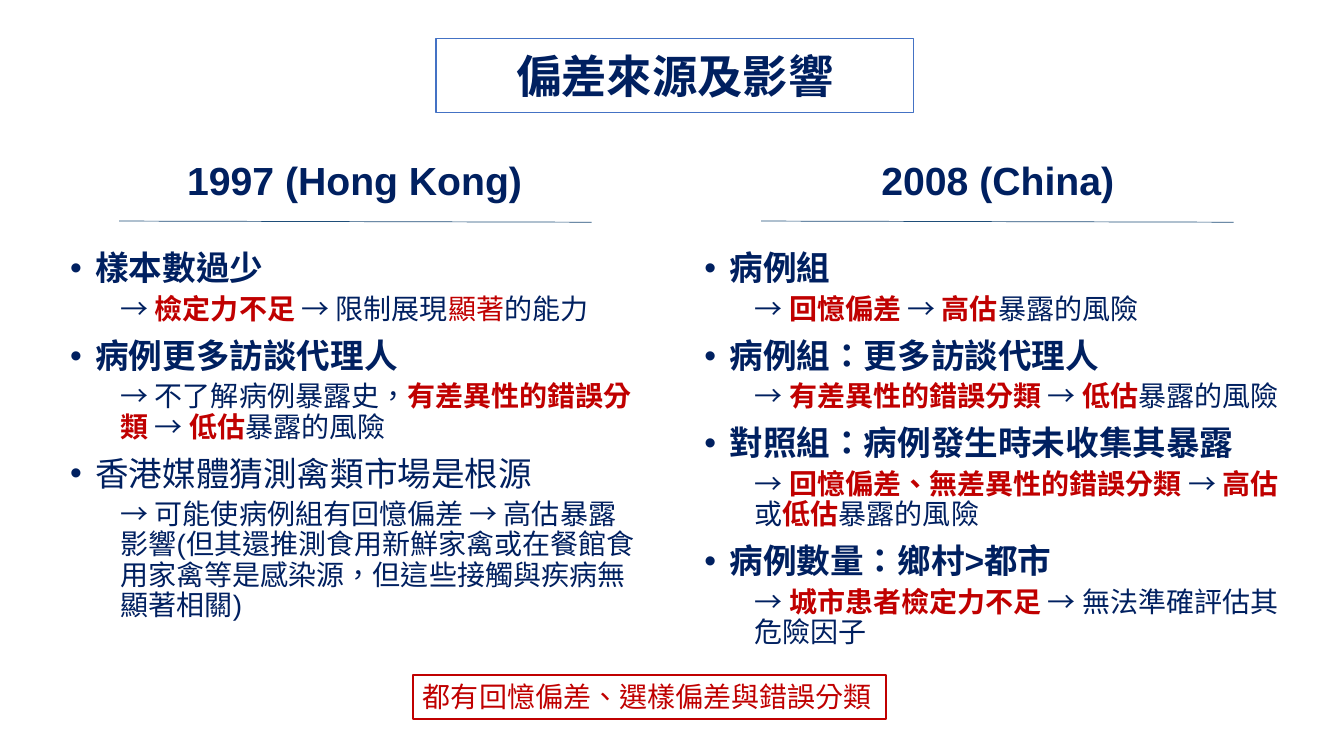
"""Build a slide comparing the sources and effects of bias in two studies."""
from lxml import etree
from pptx import Presentation
from pptx.dml.color import RGBColor
from pptx.enum.lang import MSO_LANGUAGE_ID
from pptx.enum.shapes import MSO_CONNECTOR, MSO_SHAPE
from pptx.enum.text import MSO_ANCHOR, PP_ALIGN
from pptx.oxml.ns import qn
from pptx.util import Cm, Pt

NAVY = RGBColor(0x00, 0x20, 0x60)
RED = RGBColor(0xC0, 0x00, 0x00)
BLUE = RGBColor(0x44, 0x72, 0xC4)
RULE_BLUE = RGBColor(0x1F, 0x4E, 0x79)
WHITE = RGBColor(0xFF, 0xFF, 0xFF)

PLAIN = (NAVY, False)
STRONG = (NAVY, True)
KEY = (RED, True)
ACCENT = (RED, False)

HONG_KONG = [
    ("樣本數過少", STRONG,
     [("→ ", PLAIN), ("檢定力不足 ", KEY), ("→ 限制展現", PLAIN),
      ("顯著", ACCENT), ("的能力", PLAIN)]),
    ("病例更多訪談代理人", STRONG,
     [("→ 不了解病例暴露史，", PLAIN), ("有差異性的錯誤分類 ", KEY),
      ("→ ", PLAIN), ("低估", KEY), ("暴露的風險", PLAIN)]),
    ("香港媒體猜測禽類市場是根源", PLAIN,
     [("→ 可能使病例組有回憶偏差 → 高估暴露影響(但其還推測食用新鮮家禽"
       "或在餐館食用家禽等是感染源，但這些接觸與疾病無顯著相關)", PLAIN)]),
]
CHINA = [
    ("病例組", STRONG,
     [("→ ", PLAIN), ("回憶偏差 ", KEY), ("→ ", PLAIN),
      ("高估", KEY), ("暴露的風險", PLAIN)]),
    ("病例組：更多訪談代理人", STRONG,
     [("→ ", PLAIN), ("有差異性的錯誤分類 ", KEY), ("→ ", PLAIN),
      ("低估", KEY), ("暴露的風險", PLAIN)]),
    ("對照組：病例發生時未收集其暴露", STRONG,
     [("→ ", PLAIN), ("回憶偏差、無差異性的錯誤分類 ", KEY), ("→ ", PLAIN),
      ("高估", KEY), ("或", PLAIN), ("低估", KEY), ("暴露的風險", PLAIN)]),
    ("病例數量：鄉村>都市", STRONG,
     [("→ ", PLAIN), ("城市患者檢定力不足 ", KEY),
      ("→ 無法準確評估其危險因子", PLAIN)]),
]
STUDIES = [
    ("1997 (Hong Kong)", HONG_KONG, 1.52, 14.83, 12.6, 3.0),
    ("2008 (China)", CHINA, 17.5, 15.29, 13.39, 19.18),
]


def style_run(run, size, color, bold):
    run.font.name = "Arial"
    run.font.size = Pt(size)
    run.font.bold = bold
    run.font.color.rgb = color
    run.font.language_id = MSO_LANGUAGE_ID.TRADITIONAL_CHINESE


def fill_paragraph(paragraph, pieces, size, space_before):
    paragraph.line_spacing = 0.9
    paragraph.space_before = Pt(space_before)
    for words, (color, bold) in pieces:
        run = paragraph.add_run()
        run.text = words
        style_run(run, size, color, bold)


prs = Presentation()
prs.slide_width, prs.slide_height = Cm(33.87), Cm(19.05)
slide = prs.slides.add_slide(prs.slide_layouts[6])

for heading, findings, left, width, height, rule_left in STUDIES:
    column = slide.shapes.add_textbox(Cm(left), Cm(3.94), Cm(width), Cm(height)).text_frame
    column.word_wrap = True
    study = column.paragraphs[0]
    study.alignment = PP_ALIGN.CENTER
    fill_paragraph(study, [(heading, STRONG)], 28, 10)

    for number, (finding, emphasis, effect) in enumerate(findings):
        source = column.add_paragraph()
        fill_paragraph(source, [(finding, emphasis)], 24, 10 if number else 34.5)
        properties = source._p.get_or_add_pPr()
        properties.set("marL", str(Cm(0.635)))
        properties.set("indent", str(-Cm(0.635)))
        etree.SubElement(properties, qn("a:buFont")).set("typeface", "Arial")
        etree.SubElement(properties, qn("a:buChar")).set("char", "•")

        consequence = column.add_paragraph()
        consequence.level = 1
        fill_paragraph(consequence, effect, 20, 5)
        properties = consequence._p.get_or_add_pPr()
        properties.set("marL", str(Cm(1.27)))
        properties.set("indent", "0")

    rule = slide.shapes.add_connector(
        MSO_CONNECTOR.STRAIGHT, Cm(rule_left), Cm(5.57), Cm(rule_left + 11.91), Cm(5.6))
    rule.line.color.rgb = RULE_BLUE
    rule.line.width = Pt(0.5)
    etree.SubElement(rule._element.spPr, qn("a:effectLst"))

title = slide.shapes.add_shape(MSO_SHAPE.RECTANGLE, Cm(10.99), Cm(0.97), Cm(12.04), Cm(1.87))
title.fill.solid()
title.fill.fore_color.rgb = WHITE
title.line.color.rgb = BLUE
title.line.width = Pt(1)
title.text_frame.margin_top = Cm(0.3)
title.text_frame.vertical_anchor = MSO_ANCHOR.MIDDLE
title.text_frame.paragraphs[0].alignment = PP_ALIGN.CENTER
fill_paragraph(title.text_frame.paragraphs[0], [("偏差來源及影響", STRONG)], 32.4, 0)

summary = slide.shapes.add_shape(MSO_SHAPE.RECTANGLE, Cm(10.41), Cm(17), Cm(11.91), Cm(1.11))
summary.fill.background()
summary.line.color.rgb = RED
summary.line.width = Pt(1.5)
summary.text_frame.text = "都有回憶偏差、選樣偏差與錯誤分類"
summary.text_frame.word_wrap = False
summary.text_frame.vertical_anchor = MSO_ANCHOR.TOP
summary.text_frame.paragraphs[0].alignment = PP_ALIGN.LEFT
style_run(summary.text_frame.paragraphs[0].runs[0], 20, *ACCENT)

for box in (title, summary):
    box.shadow.inherit = False

prs.save("out.pptx")
